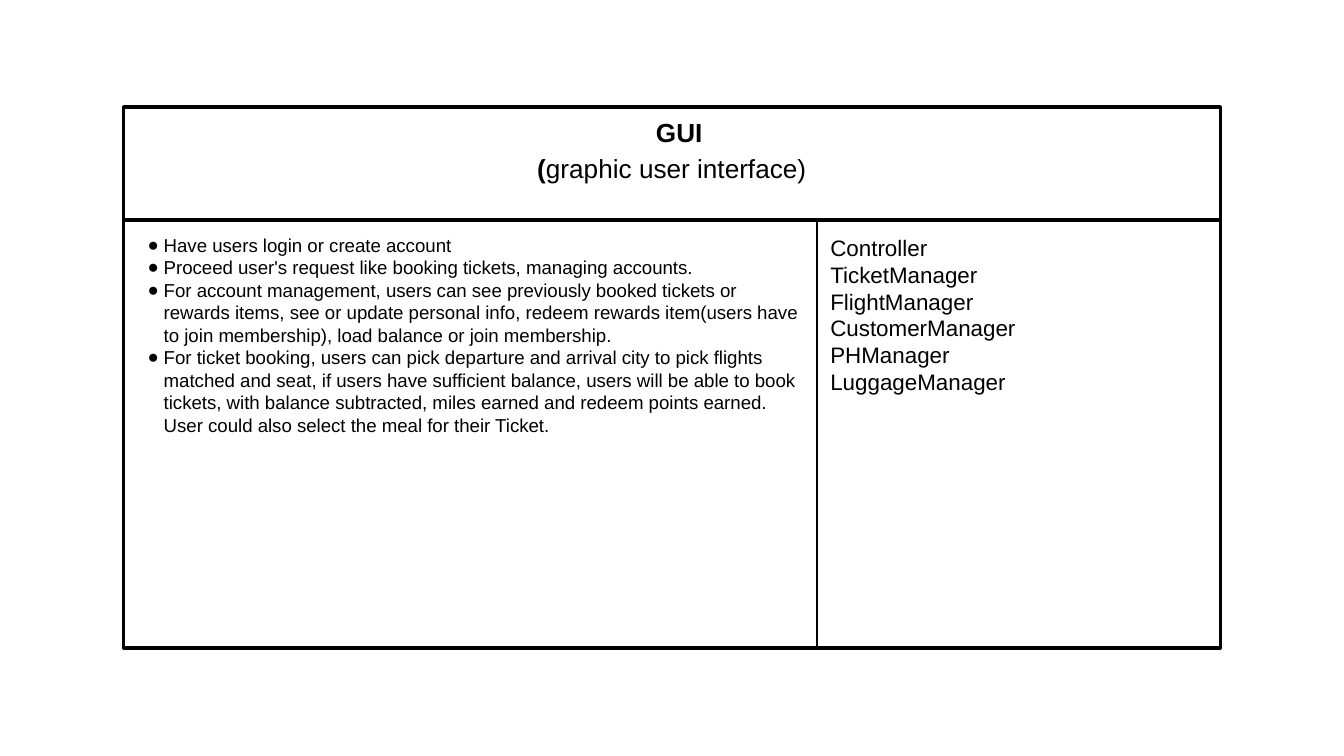
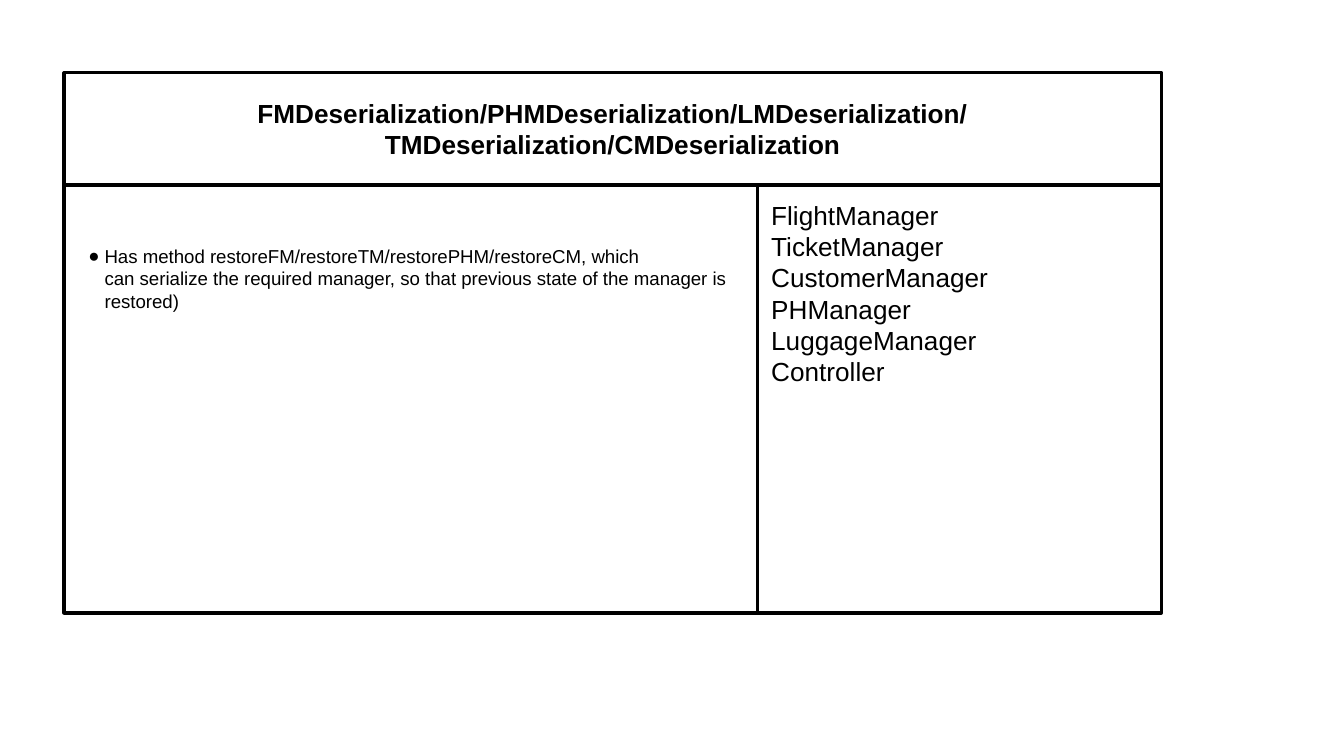
from dataclasses import dataclass

from lxml import etree
from pptx import Presentation
from pptx.dml.color import RGBColor
from pptx.enum.shapes import MSO_SHAPE
from pptx.enum.text import MSO_ANCHOR, MSO_AUTO_SIZE, PP_ALIGN
from pptx.oxml.ns import qn
from pptx.util import Inches, Pt

RECTANGLE = MSO_SHAPE.RECTANGLE
TOP, MIDDLE = MSO_ANCHOR.TOP, MSO_ANCHOR.MIDDLE
LEFT, CENTER = PP_ALIGN.LEFT, PP_ALIGN.CENTER
NO_AUTOFIT = MSO_AUTO_SIZE.NONE
TITLE_ONLY = 5
HARD_SPACE = chr(160)


@dataclass(frozen=True)
class Theme:
    font: str = "Arial"
    ink: RGBColor = RGBColor(0, 0, 0)
    paper: RGBColor = RGBColor(255, 255, 255)
    frame_line: float = 2.25
    cell_line: float = 1.5
    title_size: int = 14
    duty_size: int = 10
    inset: float = 0.1


THEME = Theme()

CARDS = [
    {
        "origin": (0.92, 0.8),
        "title": [
            [(f"{HARD_SPACE} GUI", True)],
            [("(", True), ("graphic user interface)", False)],
        ],
        "title_spacing": 1.15,
        "title_insets": (0.03, 0.26),
        "duties": [
            "Have users login or create account",
            "Proceed user's request like booking tickets, managing accounts.",
            "For account management, users can see previously booked tickets or rewards items, "
            "see or update personal info, redeem rewards item(users have to join membership), "
            "load balance or join membership.",
            "For ticket booking, users can pick departure and arrival city to pick flights matched "
            "and seat, if users have sufficient balance, users will be able to book tickets, with "
            "balance subtracted, miles earned and redeem points earned. User could also select "
            "the meal for their Ticket.",
        ],
        "duty_inset": 0.1,
        "partners": ["Controller", "TicketManager", "FlightManager",
                     "CustomerManager", "PHManager", "LuggageManager"],
        "partner_size": 12,
    },
    {
        "origin": (0.48, 0.54),
        "title": [
            [("FMDeserialization/PHMDeserialization/LMDeserialization/", True)],
            [("TMDeserialization/CMDeserialization", True)],
        ],
        "title_spacing": 1.0,
        "title_insets": (0.1, 0.1),
        "duties": [
            f"Has method{HARD_SPACE}restoreFM/restoreTM/restorePHM/restoreCM, which "
            f"can{HARD_SPACE}serialize the required manager, so that previous state of "
            "the manager is restored)",
        ],
        "duty_inset": 0.44,
        "partners": ["FlightManager", "TicketManager", "CustomerManager",
                     "PHManager", "LuggageManager", "Controller"],
        "partner_size": 14,
    },
]

SLIDE_WIDTH = Inches(10)
SLIDE_HEIGHT = SLIDE_WIDTH * 9 // 16
CARD_WIDTH, CARD_HEIGHT = 8.16, 4.02
TITLE_HEIGHT, BODY_OFFSET = 0.83, 0.84
DUTY_WIDTH = 5.16
BULLET_MARGIN, BULLET_INDENT = 0.2, -0.12


def style_box(shape, line_width):
    shape.fill.solid()
    shape.fill.fore_color.rgb = THEME.paper
    shape.line.color.rgb = THEME.ink
    shape.line.width = Pt(line_width)


def add_box(slide, left, top, width, height, line_width):
    shape = slide.shapes.add_shape(
        RECTANGLE, Inches(left), Inches(top), Inches(width), Inches(height))
    shape.shadow.inherit = False
    style_box(shape, line_width)
    return shape


def add_bullet(paragraph, size):
    properties = paragraph._p.get_or_add_pPr()
    properties.set("marL", str(Inches(BULLET_MARGIN)))
    properties.set("indent", str(Inches(BULLET_INDENT)))
    color = etree.SubElement(properties, qn("a:buClr"))
    etree.SubElement(color, qn("a:srgbClr")).set("val", str(THEME.ink))
    etree.SubElement(properties, qn("a:buSzPts")).set("val", str(size * 100))
    etree.SubElement(properties, qn("a:buFont")).set("typeface", THEME.font)
    etree.SubElement(properties, qn("a:buChar")).set("char", "●")


def write_text(shape, paragraphs, size, align=LEFT, anchor=TOP, spacing=1.0,
               insets=(THEME.inset, THEME.inset), bulleted=False):
    frame = shape.text_frame
    frame.word_wrap = True
    frame.auto_size = NO_AUTOFIT
    frame.vertical_anchor = anchor
    frame.margin_left = frame.margin_right = Inches(THEME.inset)
    frame.margin_top, frame.margin_bottom = map(Inches, insets)
    for index, runs in enumerate(paragraphs):
        paragraph = frame.add_paragraph() if index else frame.paragraphs[0]
        paragraph.alignment = align
        paragraph.line_spacing = spacing
        if bulleted:
            add_bullet(paragraph, size)
        paragraph.font.name = THEME.font
        paragraph.font.size = Pt(size)
        paragraph.font.color.rgb = THEME.ink
        for text, bold in runs:
            run = paragraph.add_run()
            run.text = text
            run.font.bold = bold


def plain(lines):
    return [[(line, False)] for line in lines]


def add_title(slide, card):
    left, top = card["origin"]
    title = slide.shapes.title
    title.element.getparent().append(title.element)
    title.left, title.top = Inches(left), Inches(top)
    title.width, title.height = Inches(CARD_WIDTH), Inches(TITLE_HEIGHT)
    style_box(title, THEME.cell_line)
    write_text(title, card["title"], THEME.title_size, CENTER, MIDDLE,
               card["title_spacing"], card["title_insets"])


def add_card(presentation, card):
    slide = presentation.slides.add_slide(presentation.slide_layouts[TITLE_ONLY])
    left, top = card["origin"]
    body_top, body_height = top + BODY_OFFSET, CARD_HEIGHT - BODY_OFFSET
    add_box(slide, left, top, CARD_WIDTH, CARD_HEIGHT, THEME.frame_line)
    add_title(slide, card)
    duties = add_box(slide, left, body_top, DUTY_WIDTH, body_height, THEME.cell_line)
    write_text(duties, plain(card["duties"]), THEME.duty_size,
               insets=(card["duty_inset"], THEME.inset), bulleted=True)
    partners = add_box(slide, left + DUTY_WIDTH, body_top,
                       CARD_WIDTH - DUTY_WIDTH, body_height, THEME.cell_line)
    write_text(partners, plain(card["partners"]), card["partner_size"])


def main():
    presentation = Presentation()
    presentation.slide_width, presentation.slide_height = SLIDE_WIDTH, SLIDE_HEIGHT
    for card in CARDS:
        add_card(presentation, card)
    presentation.save("out.pptx")


if __name__ == "__main__":
    main()
